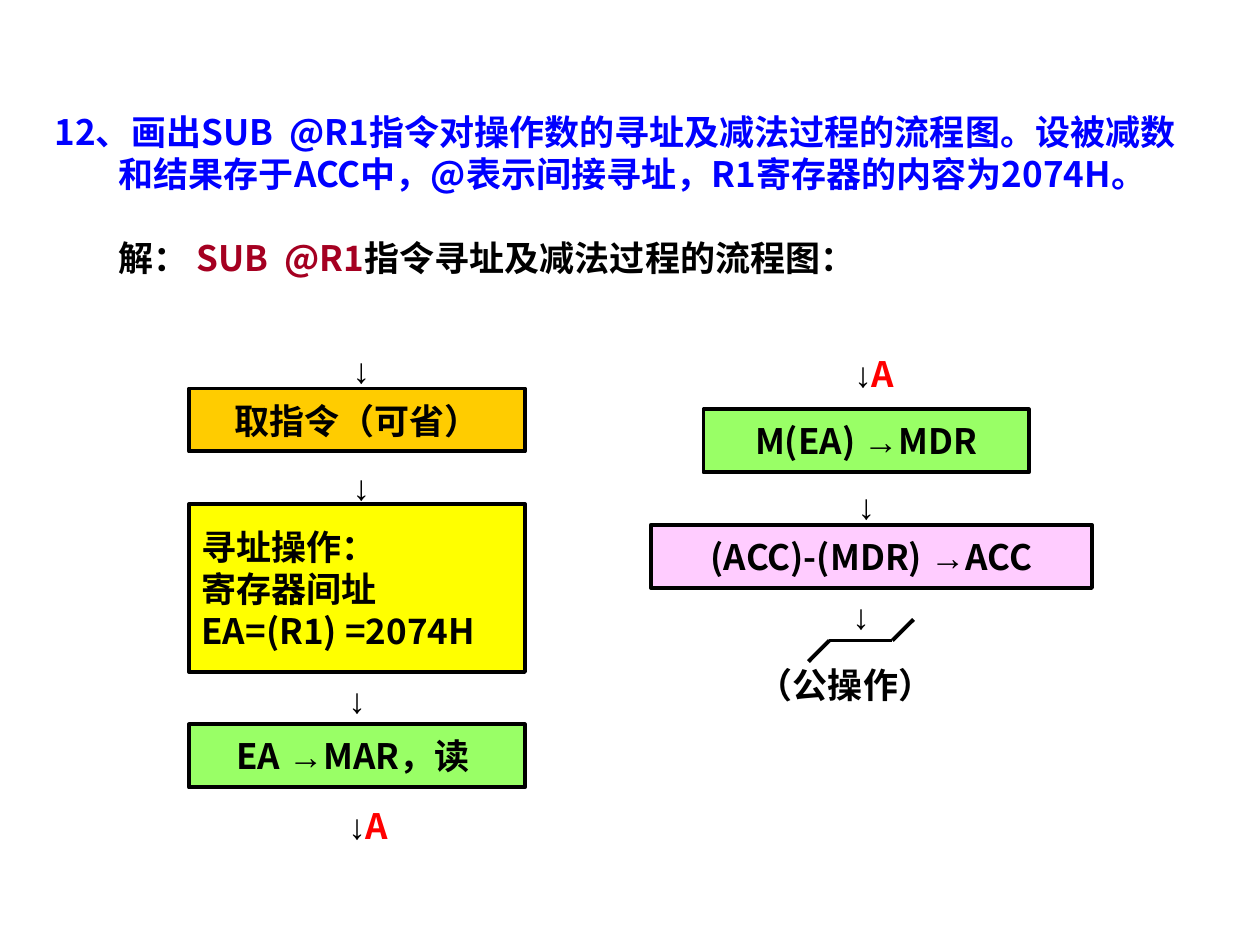
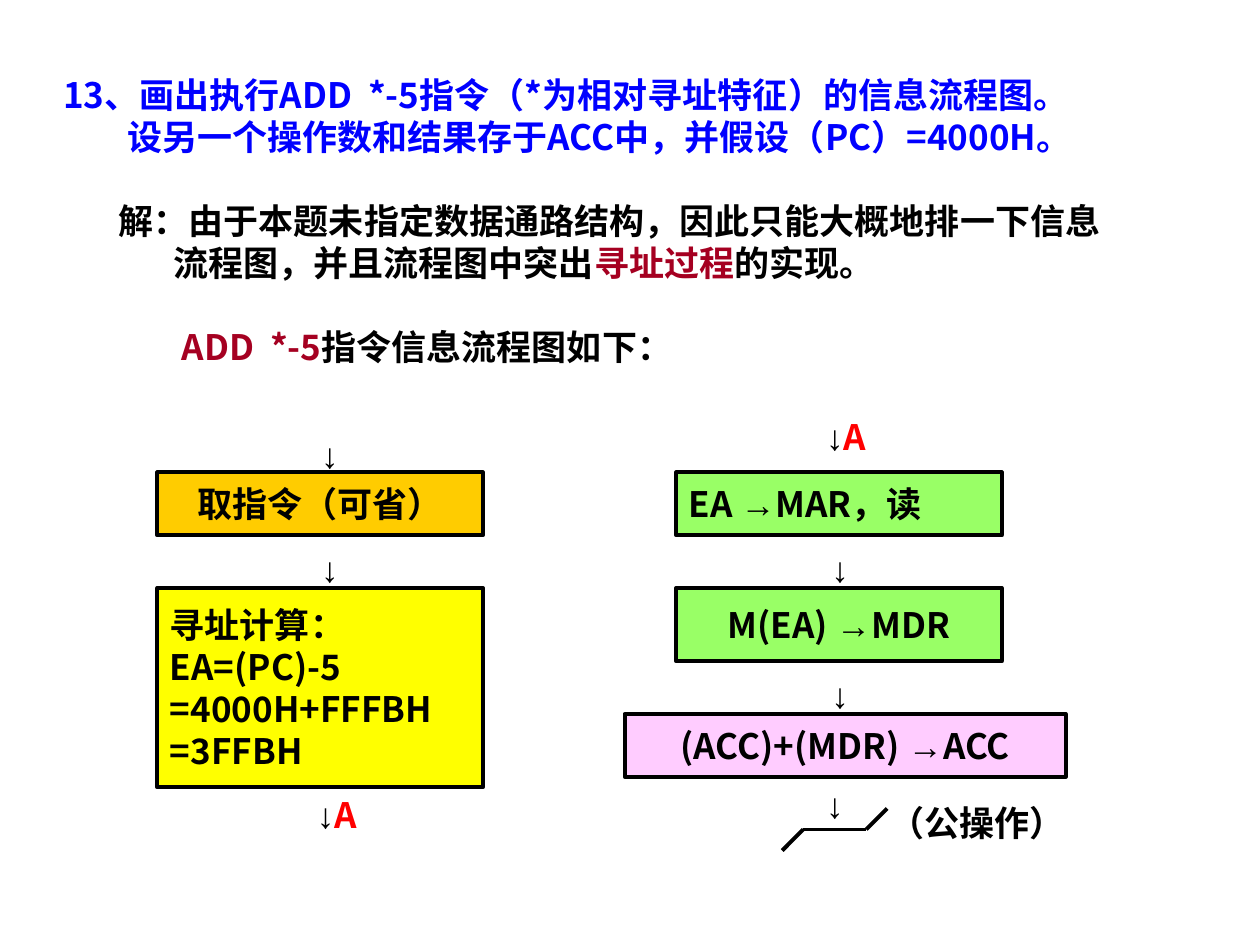
"""Build two slides with instruction flowcharts for SUB and ADD."""
from itertools import groupby, pairwise

from lxml import etree
from pptx import Presentation
from pptx.dml.color import RGBColor
from pptx.enum.shapes import MSO_CONNECTOR, MSO_SHAPE
from pptx.enum.text import MSO_ANCHOR, MSO_AUTO_SIZE, PP_ALIGN
from pptx.oxml.ns import qn
from pptx.util import Pt

PX = 7620
LEFT, CENTER = PP_ALIGN.LEFT, PP_ALIGN.CENTER
TOP, MIDDLE = MSO_ANCHOR.TOP, MSO_ANCHOR.MIDDLE
RECTANGLE, STRAIGHT = MSO_SHAPE.RECTANGLE, MSO_CONNECTOR.STRAIGHT
NO_AUTOFIT = MSO_AUTO_SIZE.NONE

BLACK = RGBColor(0x00, 0x00, 0x00)
BLUE = RGBColor(0x00, 0x00, 0xFF)
RED = RGBColor(0xFF, 0x00, 0x00)
CRIMSON = RGBColor(0xA5, 0x00, 0x21)
ORANGE = RGBColor(0xFF, 0xCC, 0x00)
YELLOW = RGBColor(0xFF, 0xFF, 0x00)
GREEN = RGBColor(0x99, 0xFF, 0x66)
PINK = RGBColor(0xFF, 0xCC, 0xFF)

TEXT_FONT, ARROW_FONT = "Noto Sans CJK SC", "Arial"
TEXT_SIZE, LINE_WIDTH, LINE_GAP = Pt(20), Pt(2.25), Pt(24)
LABEL_HEIGHT = 53
EXIT_STEPS = [(0, 0), (20, -20), (80, -20), (100, -40)]

ARROW = [("↓", BLACK)]
ARROW_A = [("↓", BLACK), ("A", RED)]


def px(*lengths):
    return [length * PX for length in lengths]


def write(frame, lines, align=LEFT, anchor=TOP, wrap=True, indents=(), gaps=()):
    """Write lines of (text, colour) runs; gaps lists the lines set apart."""
    frame.word_wrap = wrap
    frame.auto_size = NO_AUTOFIT
    frame.vertical_anchor = anchor
    for index, line in enumerate(lines):
        paragraph = frame.paragraphs[0] if index == 0 else frame.add_paragraph()
        paragraph.alignment = align
        if indents:
            properties = paragraph._p.get_or_add_pPr()
            properties.set("marL", "0")
            properties.set("indent", str(indents[index] * PX))
        if index in gaps:
            paragraph.space_before = LINE_GAP
        for text, color in line:
            for is_arrow, letters in groupby(text, lambda letter: letter in "↓→"):
                run = paragraph.add_run()
                run.text = "".join(letters)
                font = run.font
                font.size, font.bold = TEXT_SIZE, True
                font.color.rgb = color
                font.name = ARROW_FONT if is_arrow else TEXT_FONT
                east_asian = etree.SubElement(run._r.get_or_add_rPr(), qn("a:ea"))
                east_asian.set("typeface", font.name)


exercises = [
    {
        "title_area": (40, 50, 1120, 270),
        "title": [
            [("12、画出SUB  @R1指令对操作数的寻址及减法过程的流程图。设被减数", BLUE)],
            [("和结果存于ACC中，@表示间接寻址，R1寄存器的内容为2074H。", BLUE)],
            [("解： ", BLACK), ("SUB  @R1", CRIMSON), ("指令寻址及减法过程的流程图：", BLACK)],
        ],
        "indents": (0, 61, 61),
        "gaps": (2,),
        "steps": [
            (180, 370, 320, 60, ORANGE, CENTER, ["取指令（可省）"]),
            (180, 480, 320, 160, YELLOW, LEFT, ["寻址操作：", "寄存器间址", "EA=(R1) =2074H"]),
            (180, 690, 320, 60, GREEN, CENTER, ["EA →MAR，读 "]),
            (670, 390, 310, 60, GREEN, CENTER, ["M(EA) →MDR"]),
            (620, 500, 420, 60, PINK, CENTER, ["(ACC)-(MDR) →ACC"]),
        ],
        "arrows": [
            (324, 326, 37, ARROW),
            (324, 437, 37, ARROW),
            (320, 640, 60, ARROW),
            (320, 760, 90, ARROW_A),
            (802, 330, 89, ARROW_A),
            (805, 456, 37, ARROW),
            (800, 560, 50, ARROW),
        ],
        "exit_start": (770, 630),
        "exit_label": (710, 626),
    },
    {
        "title_area": (40, 0, 1120, 420),
        "title": [
            [("13、画出执行ADD  *-5指令（*为相对寻址特征）的信息流程图。", BLUE)],
            [("设另一个操作数和结果存于ACC中，并假设（PC）=4000H。", BLUE)],
            [("解：由于本题未指定数据通路结构，因此只能大概地排一下信息", BLACK)],
            [("流程图，并且流程图中突出", BLACK), ("寻址过程", CRIMSON), ("的实现。", BLACK)],
            [("ADD  *-5", CRIMSON), ("指令信息流程图如下：", BLACK)],
        ],
        "indents": (8, 69, 61, 113, 121),
        "gaps": (2, 4),
        "steps": [
            (150, 450, 310, 60, ORANGE, CENTER, ["取指令（可省）"]),
            (150, 560, 310, 190, YELLOW, LEFT,
             ["寻址计算：", "EA=(PC)-5", "=4000H+FFFBH", "=3FFBH"]),
            (644, 450, 310, 60, GREEN, LEFT, ["EA →MAR，读"]),
            (644, 560, 310, 70, GREEN, CENTER, ["M(EA) →MDR"]),
            (595, 680, 420, 60, PINK, CENTER, ["(ACC)+(MDR) →ACC"]),
        ],
        "arrows": [
            (294, 407, 37, ARROW),
            (294, 516, 37, ARROW),
            (290, 750, 90, ARROW_A),
            (775, 390, 100, ARROW_A),
            (780, 516, 37, ARROW),
            (780, 636, 37, ARROW),
            (775, 740, 50, ARROW),
        ],
        "exit_start": (745, 810),
        "exit_label": (835, 757),
    },
]

deck = Presentation()
deck.slide_width, deck.slide_height = px(1200, 900)
title_only = deck.slide_layouts[5]

for exercise in exercises:
    slide = deck.slides.add_slide(title_only)
    shapes = slide.shapes
    title = shapes.title
    title.left, title.top, title.width, title.height = px(*exercise["title_area"])
    write(title.text_frame, exercise["title"], anchor=MIDDLE,
          indents=exercise["indents"], gaps=exercise["gaps"])

    for left, top, width, height, color, align, lines in exercise["steps"]:
        step = shapes.add_shape(RECTANGLE, *px(left, top, width, height))
        step.shadow.inherit = False
        step.fill.solid()
        step.fill.fore_color.rgb = color
        step.line.color.rgb = BLACK
        step.line.width = LINE_WIDTH
        write(step.text_frame, [[(line, BLACK)] for line in lines],
              align=align, anchor=MIDDLE, wrap=False)

    for left, top, width, runs in exercise["arrows"]:
        arrow = shapes.add_textbox(*px(left, top, width, LABEL_HEIGHT))
        write(arrow.text_frame, [runs])

    start_x, start_y = exercise["exit_start"]
    corners = [(start_x + dx, start_y + dy) for dx, dy in EXIT_STEPS]
    for begin, end in pairwise(corners):
        exit_line = shapes.add_connector(STRAIGHT, *px(*begin, *end))
        exit_line.line.color.rgb = BLACK
        exit_line.line.width = LINE_WIDTH
        etree.SubElement(exit_line._element.spPr, qn("a:effectLst"))

    exit_label = shapes.add_textbox(*px(*exercise["exit_label"], 191, LABEL_HEIGHT))
    write(exit_label.text_frame, [[("（公操作）", BLACK)]], wrap=False)

deck.save("out.pptx")
